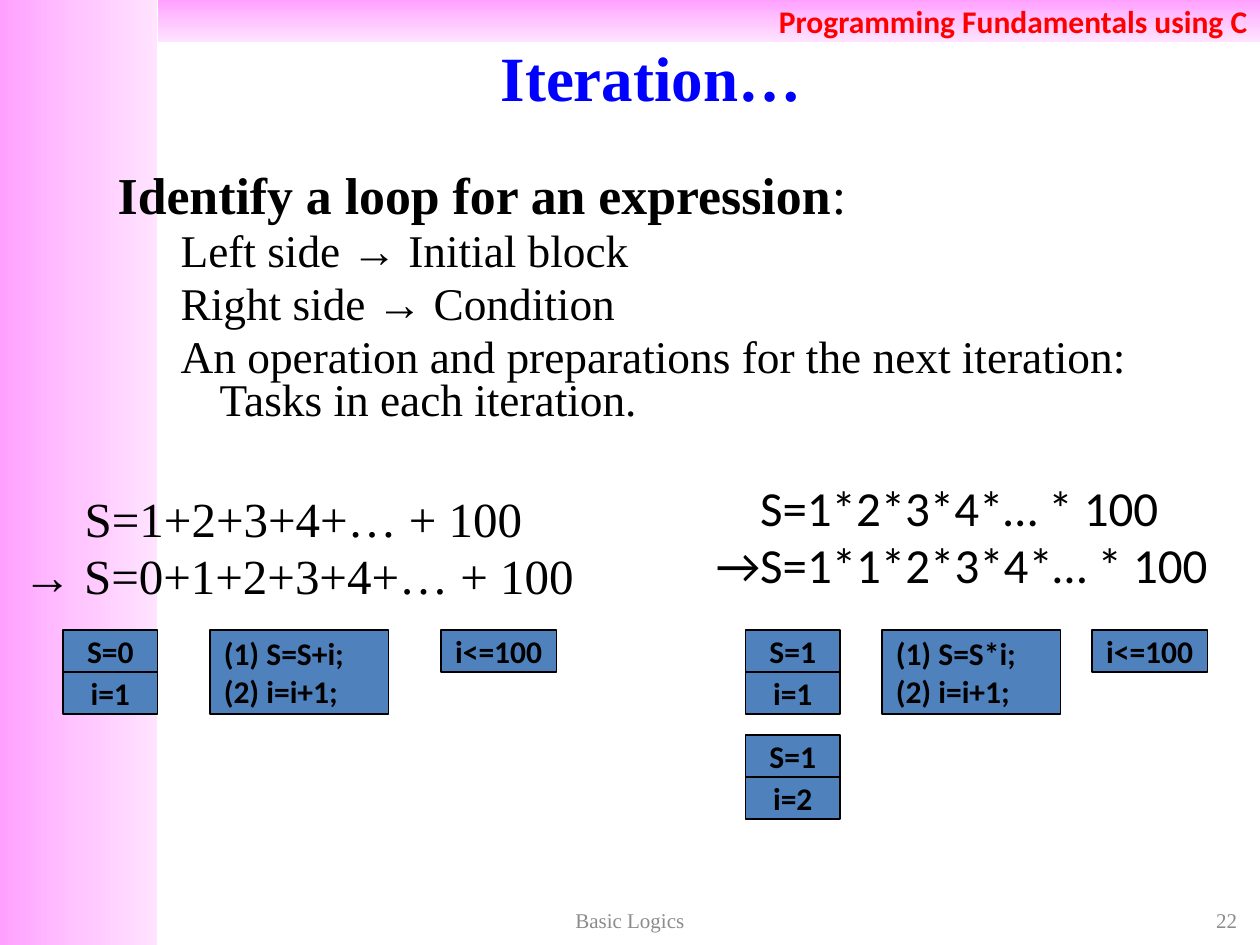
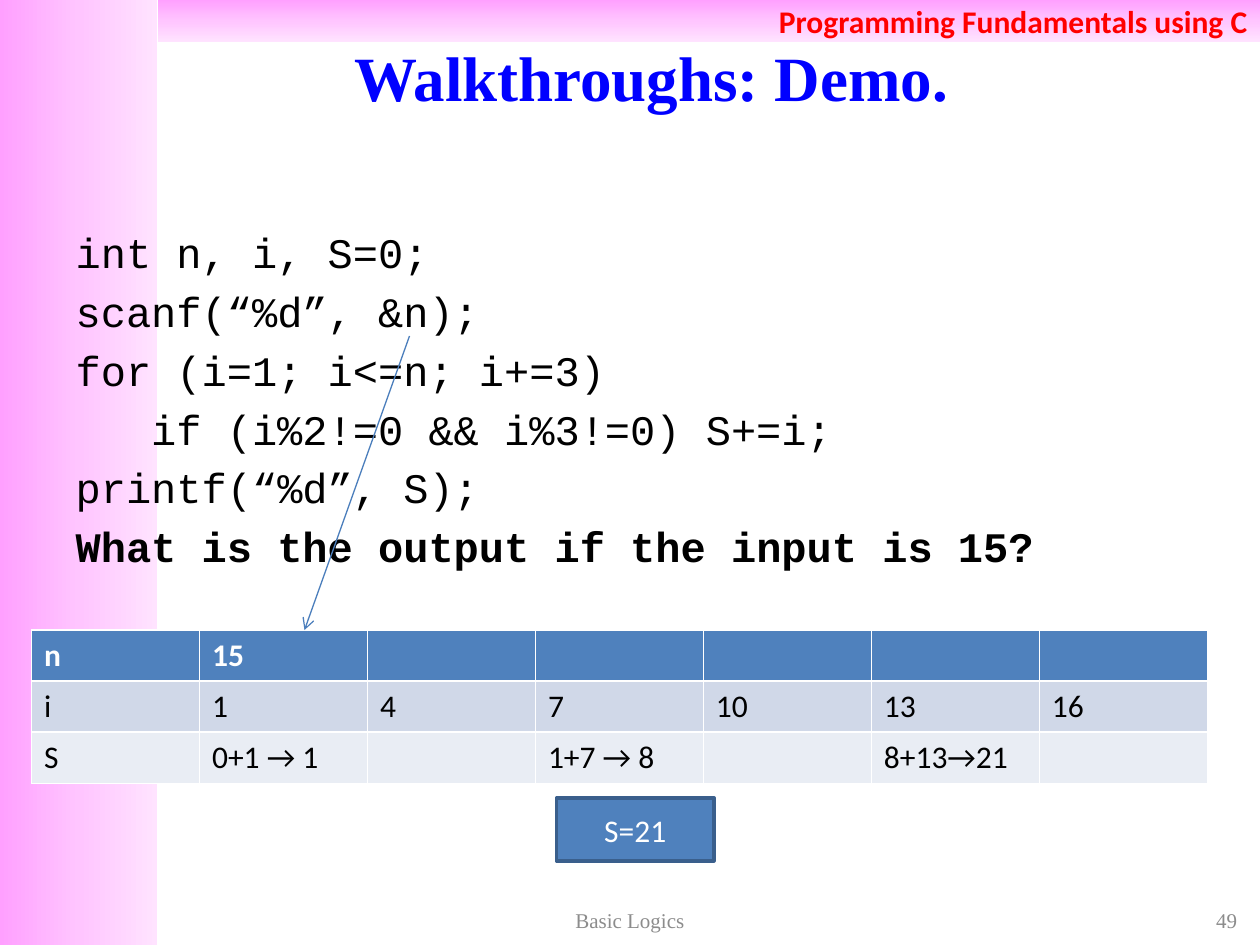
from copy import deepcopy
from dataclasses import dataclass
from typing import NamedTuple

from lxml import etree
from pptx import Presentation
from pptx import util as u
from pptx.dml.color import RGBColor
from pptx.enum import shapes, text
from pptx.oxml.ns import qn

# Grid: 120 columns by 90 rows of square cells
SLIDE_WIDTH, SLIDE_HEIGHT = u.Inches(10), u.Inches(7.5)
COLUMNS, ROWS = 120, 90
LEFT, CENTER, RIGHT = text.PP_ALIGN.LEFT, text.PP_ALIGN.CENTER, text.PP_ALIGN.RIGHT
MIDDLE, TOP = text.MSO_ANCHOR.MIDDLE, text.MSO_ANCHOR.TOP


@dataclass(frozen=True)
class Theme:
    serif: str = "Times New Roman"
    sans: str = "Calibri"
    mono: str = "Courier New"
    band: tuple = ((0, "FFA0FF"), (0.5, "FFC5FF"), (1, "FFE3FF"))
    title: str = "0000FF"
    course: str = "FF0000"
    ink: str = "000000"
    paper: str = "FFFFFF"
    muted: str = "8C8C8C"
    accent: str = "4F81BD"
    accent_edge: str = "3A5F8C"
    arrow: str = "4B7EBC"
    table_rows: tuple = ("4F81BD", "D0D8E8", "E9EDF4")
    title_size: float = 36
    heading_size: float = 29.6
    item_size: float = 25.9
    formula_size: float = 28
    code_size: float = 24
    label_size: float = 18
    footer_size: float = 12


THEME = Theme()


class Area(NamedTuple):
    column: float
    row: float
    columns: float
    rows: float


class Style(NamedTuple):
    font: str
    size: float
    color: str = THEME.ink
    bold: bool = False


class Line(NamedTuple):
    """One paragraph: (words, style) runs, left margin and first-line indent in inches."""
    runs: list
    margin: float = 0.38
    indent: float = -0.38
    level: int = 0
    spacing: float | None = None


@dataclass
class LoopExample:
    """A formula with its boxes: starting values, tasks and condition."""
    formula_area: Area
    formula: list
    starts: list
    start_column: float
    tasks: list
    task_column: float
    condition_column: float


LABEL = Style(THEME.sans, THEME.label_size, bold=True)


def across(columns: float) -> int:
    return round(SLIDE_WIDTH * columns / COLUMNS)


def down(rows: float) -> int:
    return round(SLIDE_HEIGHT * rows / ROWS)


def place(area: Area) -> tuple:
    return across(area.column), down(area.row), across(area.columns), down(area.rows)


def color(value: str) -> RGBColor:
    return RGBColor.from_string(value)


# Text
def add_run(paragraph, words: str, style: Style) -> None:
    run = paragraph.add_run()
    run.text = words
    run.font.name, run.font.size, run.font.bold = style.font, u.Pt(style.size), style.bold
    run.font.color.rgb = color(style.color)


def paragraphs(frame, count: int) -> list:
    return [frame.paragraphs[0]] + [frame.add_paragraph() for _ in range(count - 1)]


def write_labels(frame, labels: list, style: Style, align) -> None:
    frame.vertical_anchor = MIDDLE
    for paragraph, label in zip(paragraphs(frame, len(labels)), labels):
        paragraph.alignment = align
        add_run(paragraph, label, style)


def write_lines(frame, lines: list) -> None:
    frame.word_wrap, frame.auto_size = True, text.MSO_AUTO_SIZE.NONE
    frame.vertical_anchor = TOP
    for paragraph, line in zip(paragraphs(frame, len(lines)), lines):
        paragraph.level = line.level
        paragraph.alignment = LEFT
        if line.spacing:
            paragraph.line_spacing = line.spacing
        # Hanging indent, 20 % space before, no bullet
        properties = paragraph._p.get_or_add_pPr()
        properties.set("marL", str(u.Inches(line.margin)))
        properties.set("indent", str(u.Inches(line.indent)))
        before = etree.SubElement(properties, qn("a:spcBef"))
        etree.SubElement(before, qn("a:spcPct")).set("val", "20000")
        etree.SubElement(properties, qn("a:buNone"))
        for words, style in line.runs:
            add_run(paragraph, words, style)


def add_text(slide, area: Area):
    frame = slide.shapes.add_textbox(*place(area)).text_frame
    frame.word_wrap = True
    return frame


# Shapes
def add_rectangle(slide, area: Area):
    shape = slide.shapes.add_shape(shapes.MSO_SHAPE.RECTANGLE, *place(area))
    shape.shadow.inherit = False
    return shape


def add_box(slide, area: Area, labels: list, style: Style = LABEL, edge: str = THEME.ink,
            edge_width: float = 0.75, align=CENTER):
    shape = add_rectangle(slide, area)
    shape.fill.solid()
    shape.fill.fore_color.rgb = color(THEME.accent)
    shape.line.color.rgb, shape.line.width = color(edge), u.Pt(edge_width)
    frame = shape.text_frame
    frame.word_wrap = False
    frame.margin_left = frame.margin_right = u.Inches(0.11)
    frame.margin_top = frame.margin_bottom = u.Inches(0.06)
    write_labels(frame, labels, style, align)


def add_arrow(slide, start: tuple, end: tuple) -> None:
    connector = slide.shapes.add_connector(
        shapes.MSO_CONNECTOR.STRAIGHT,
        across(start[0]), down(start[1]), across(end[0]), down(end[1]))
    connector.line.color.rgb, connector.line.width = color(THEME.arrow), u.Pt(0.75)
    line = connector.line._get_or_add_ln()
    etree.SubElement(line, qn("a:tailEnd")).set("type", "arrow")
    etree.SubElement(connector.element.spPr, qn("a:effectLst"))


def add_trace_table(slide, area: Area, rows: list) -> None:
    table = slide.shapes.add_table(len(rows), len(rows[0]), *place(area)).table
    for row_index, (values, fill) in enumerate(zip(rows, THEME.table_rows)):
        header = row_index == 0
        style = Style(THEME.sans, THEME.label_size,
                      THEME.paper if header else THEME.ink, header)
        for column_index, value in enumerate(values):
            cell = table.cell(row_index, column_index)
            cell.fill.solid()
            cell.fill.fore_color.rgb = color(fill)
            if value:
                add_run(cell.text_frame.paragraphs[0], value, style)


# Shared slide parts
def add_band(slide, layout, area: Area, angle: float, identifier: int):
    """Draw a gradient band and move it to the layout."""
    band = add_rectangle(slide, area)
    band.line.fill.background()
    band.fill.gradient()
    band.fill.gradient_angle = angle
    stops = band.element.xpath(".//a:gsLst")[0]
    stops.append(deepcopy(stops[0]))
    for stop, (position, value) in zip(band.fill.gradient_stops, THEME.band):
        stop.color.rgb, stop.position = color(value), position
    band.element.nvSpPr.cNvPr.set("id", str(identifier))
    layout.shapes.element.append(band.element)
    return band


def add_bands(slide, layout) -> None:
    add_band(slide, layout, Area(0, 0, 15, ROWS), 0, 20)
    header = add_band(slide, layout, Area(15, 0, 105, 4), 270, 21)
    write_labels(header.text_frame, ["Programming Fundamentals using C"],
                 LABEL._replace(color=THEME.course), RIGHT)


def add_slide(presentation, title: str, body_area: Area, lines: list, number: int):
    layout = presentation.slide_layouts[1]
    slide = presentation.slides.add_slide(layout)
    if len(presentation.slides) == 1:
        add_bands(slide, layout)
    heading, body = slide.placeholders
    heading.left, heading.top, heading.width, heading.height = place(Area(10, 3.6, 104, 7.4))
    heading.text_frame.auto_size = text.MSO_AUTO_SIZE.NONE
    write_labels(heading.text_frame, [title],
                 Style(THEME.serif, THEME.title_size, THEME.title, True), CENTER)
    body.left, body.top, body.width, body.height = place(body_area)
    write_lines(body.text_frame, lines)
    footer = Style(THEME.serif, THEME.footer_size, THEME.muted)
    write_labels(add_text(slide, Area(91, 86, 28, 3.25)), [str(number)], footer, RIGHT)
    write_labels(add_text(slide, Area(41, 86, 38, 3.25)), ["Basic Logics"], footer, CENTER)
    return slide


# Slide: iteration
def add_loop_example(slide, example: LoopExample) -> None:
    write_lines(add_text(slide, example.formula_area), example.formula)
    for index, values in enumerate(example.starts):
        for step, value in enumerate(values):
            add_box(slide, Area(example.start_column, 60 + 10 * index + 4 * step, 9, 4), [value])
    add_box(slide, Area(example.condition_column, 60, 11, 4), ["i<=100"])
    add_box(slide, Area(example.task_column, 60, 17, 8), example.tasks, align=LEFT)


def formula_lines(font: str, first: str, second: str, offset: float) -> list:
    style = Style(font, THEME.formula_size)
    return [Line([(first, style)], offset, 0, spacing=0.8),
            Line([(second, style)], spacing=0.8)]


def build_iteration(presentation) -> None:
    heading = Style(THEME.serif, THEME.heading_size)
    item = Style(THEME.serif, THEME.item_size)
    items = ["Left side → Initial block", "Right side → Condition",
             "An operation and preparations for the next iteration: Tasks in each iteration."]
    lines = [Line([("Identify a loop for an expression", heading._replace(bold=True)),
                   (":", heading)], spacing=0.8)]
    lines += [Line([(words, item)], 0.81, -0.31, 1, 0.8) for words in items]
    slide = add_slide(presentation, "Iteration…", Area(10, 16, 104, 27), lines, 22)
    sum_lines = formula_lines(THEME.serif, "S=1+2+3+4+… + 100", "→ S=0+1+2+3+4+… + 100", 0.49)
    product_lines = formula_lines(THEME.sans, "S=1*2*3*4*… * 100", "→S=1*1*2*3*4*… * 100", 0.35)
    add_loop_example(slide, LoopExample(
        Area(1, 47, 56, 12), sum_lines, [("S=0", "i=1")], 6,
        ["(1) S=S+i;", "(2) i=i+1;"], 20, 42))
    add_loop_example(slide, LoopExample(
        Area(67, 46, 50, 12), product_lines, [("S=1", "i=1"), ("S=1", "i=2")], 71,
        ["(1) S=S*i;", "(2) i=i+1;"], 84, 104))


# Slide: walkthrough
def build_walkthrough(presentation) -> None:
    code = Style(THEME.mono, THEME.code_size)
    lines = [Line([(words, code)]) for words in (
        "int n, i, S=0;", "scanf(“%d”, &n);", "for (i=1; i<=n; i+=3)")]
    lines += [Line([("if (i%2!=0 && i%3!=0) S+=i;", code)], 0.6, 0),
              Line([("printf(“%d”, S);", code)]),
              Line([("What is the output if the input is 15?", code._replace(bold=True))])]
    slide = add_slide(presentation, "Walkthroughs: Demo.", Area(6, 21, 108, 36), lines, 49)
    add_trace_table(slide, Area(3, 60, 112, 14.6), [
        ("n", "15", "", "", "", "", ""),
        ("i", "1", "4", "7", "10", "13", "16"),
        ("S", "0+1 → 1", "", "1+7 → 8", "", "8+13→21", "")])
    add_box(slide, Area(53, 76, 15, 6), ["S=21"],
            Style(THEME.sans, THEME.label_size, THEME.paper), THEME.accent_edge, 2)
    add_arrow(slide, (39, 32), (29, 60))


def main() -> None:
    presentation = Presentation()
    presentation.slide_width, presentation.slide_height = SLIDE_WIDTH, SLIDE_HEIGHT
    build_iteration(presentation)
    build_walkthrough(presentation)
    presentation.save("out.pptx")


main()
